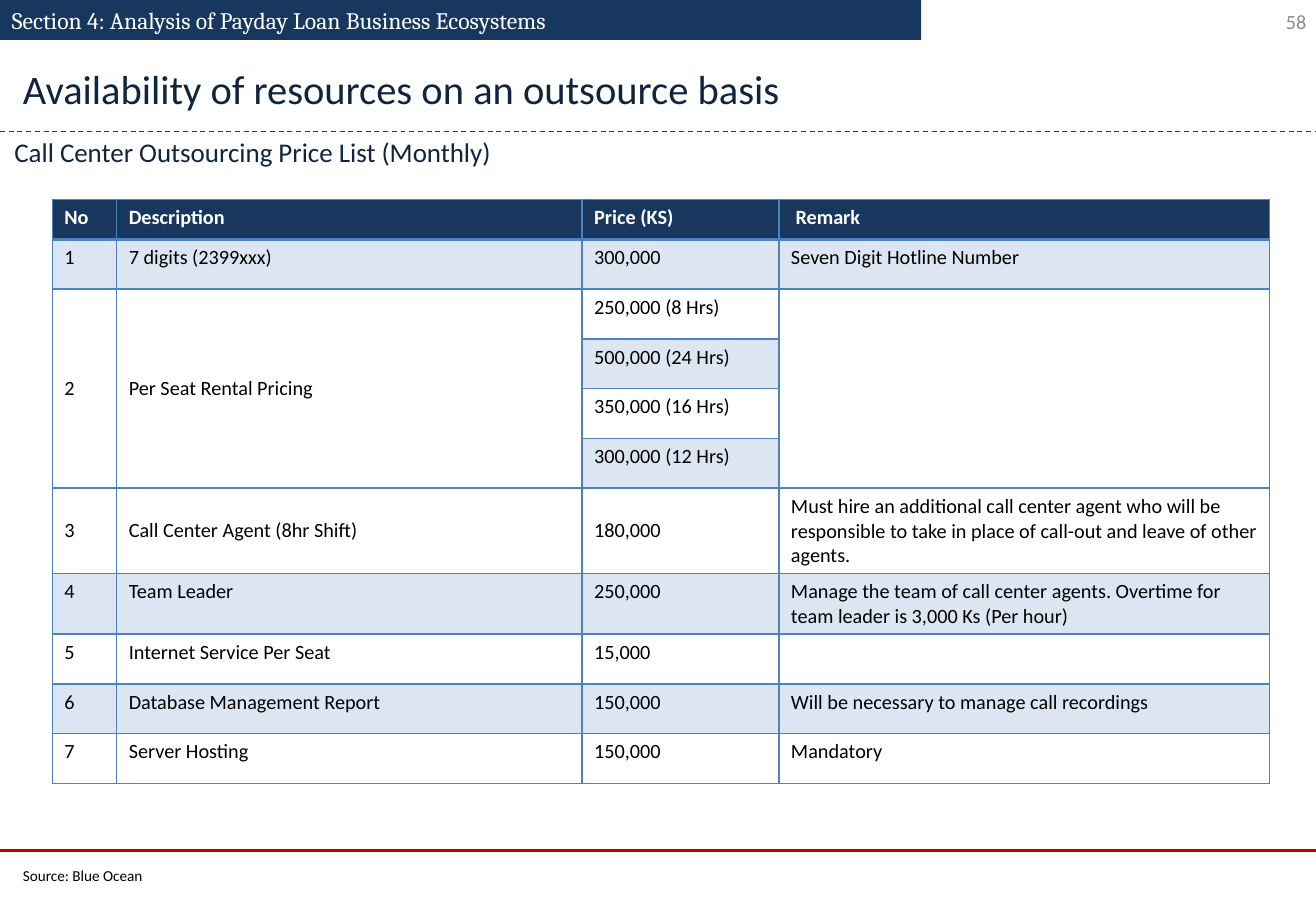
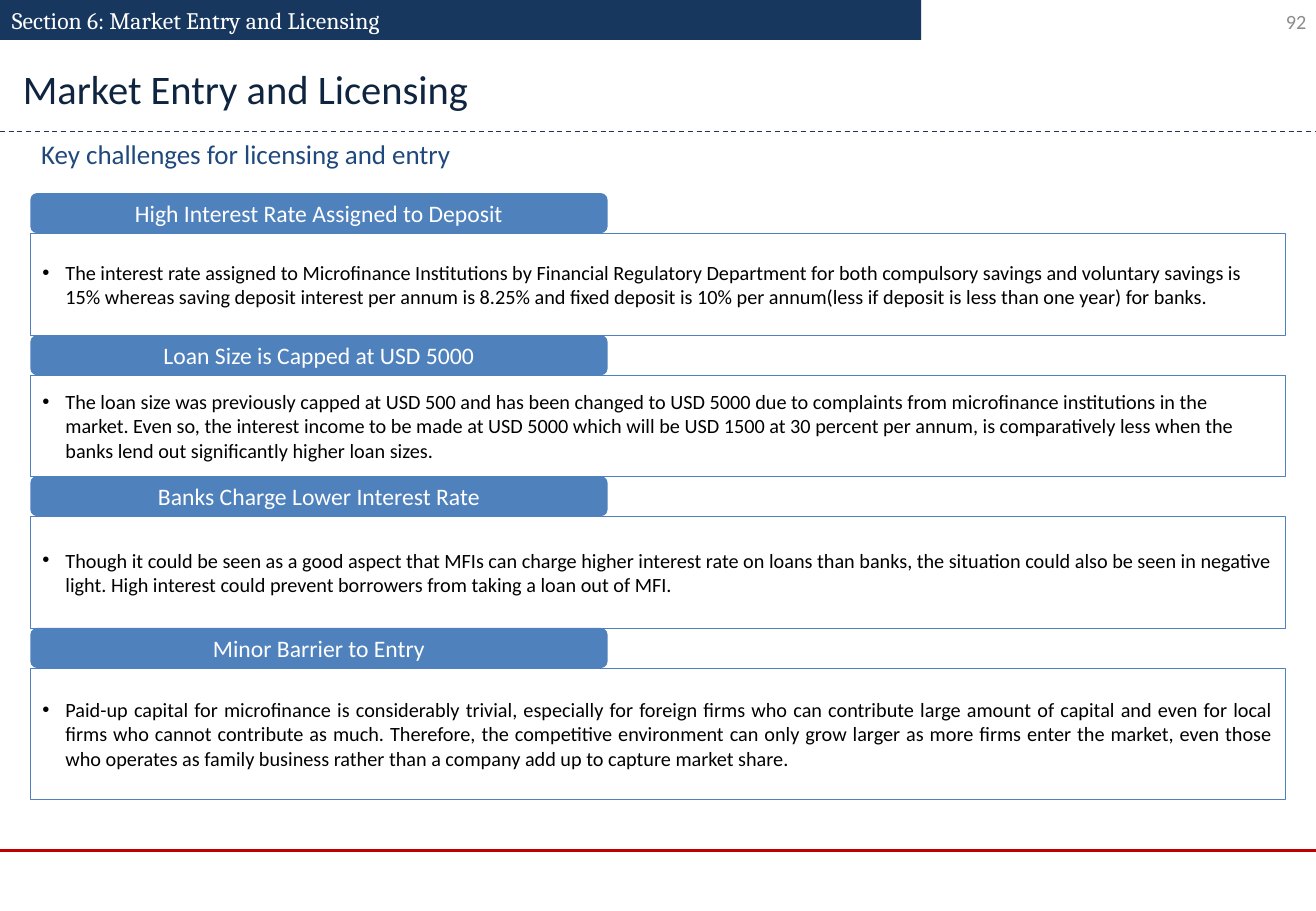
from lxml import etree
from pptx import Presentation
from pptx import util as u
from pptx.dml.color import RGBColor
from pptx.enum import dml, shapes, text
from pptx.oxml import ns

COLOURS = {
    "navy": "17375E", "ink": "0F243E", "blue": "1F497D", "accent": "4F81BD",
    "tint": "DCE6F2", "red": "C00000", "grey": "8C8C8C", "black": "000000",
    "white": "FFFFFF",
}
LEFT, CENTER, RIGHT, JUSTIFY = (
    text.PP_ALIGN.LEFT, text.PP_ALIGN.CENTER, text.PP_ALIGN.RIGHT, text.PP_ALIGN.JUSTIFY)
TOP, MIDDLE = text.MSO_ANCHOR.TOP, text.MSO_ANCHOR.MIDDLE
GROW = text.MSO_AUTO_SIZE.SHAPE_TO_FIT_TEXT
RECT, ROUND = shapes.MSO_SHAPE.RECTANGLE, shapes.MSO_SHAPE.ROUNDED_RECTANGLE

# Text styles: font attributes and a colour name
STYLES = {
    "section": ({"name": "Cambria", "size": u.Pt(14)}, "white"),
    "number": ({"name": "Calibri", "size": u.Pt(12)}, "grey"),
    "title": ({"name": "Calibri", "size": u.Pt(24)}, "ink"),
    "subtitle": ({"name": "Calibri", "size": u.Pt(16)}, "ink"),
    "challenge": ({"name": "Calibri", "size": u.Pt(16)}, "blue"),
    "source": ({"name": "Calibri", "size": u.Pt(9)}, "black"),
    "label": ({"name": "Calibri", "size": u.Pt(14)}, "white"),
    "body": ({"name": "Calibri", "size": u.Pt(12), "bold": False}, "black"),
    "header": ({"name": "Calibri", "size": u.Pt(12), "bold": True}, "white"),
}

PRICES = [
    ("No", "Description", "Price (KS)", " Remark"),
    ("1", "7 digits (2399xxx)", "300,000", "Seven Digit Hotline Number"),
    ("2", "Per Seat Rental Pricing", "250,000 (8 Hrs)", ""),
    ("", "", "500,000 (24 Hrs)", ""),
    ("", "", "350,000 (16 Hrs)", ""),
    ("", "", "300,000 (12 Hrs)", ""),
    ("3", "Call Center Agent (8hr Shift)", "180,000",
     "Must hire an additional call center agent who will be responsible to take in "
     "place of call-out and leave of other agents."),
    ("4", "Team Leader", "250,000",
     "Manage the team of call center agents. Overtime for team leader is 3,000 Ks (Per hour)"),
    ("5", "Internet Service Per Seat", "15,000", ""),
    ("6", "Database Management Report", "150,000", "Will be necessary to manage call recordings"),
    ("7", "Server Hosting", "150,000", "Mandatory"),
]
COLUMN_WIDTHS = [0.53, 3.83, 1.62, 4.04]
ROW_HEIGHTS = [0.33] + [0.41] * 5 + [0.7, 0.49] + [0.41] * 3
SEAT_MERGES = [((2, column), (5, column)) for column in (0, 1, 3)]
MIDDLE_CELLS = {(2, 0), (2, 1), (6, 0), (6, 1), (6, 2)}

# Heading, box height, alignment, wording
CHALLENGES = [
    ("High Interest Rate Assigned to Deposit", 0.84, LEFT,
     "The interest rate assigned to Microfinance Institutions by Financial Regulatory "
     "Department for both compulsory savings and voluntary savings is 15% whereas saving "
     "deposit interest per annum is 8.25% and fixed deposit is 10% per annum(less if "
     "deposit is less than one year) for banks."),
    ("Loan Size is Capped at USD 5000", 0.83, LEFT,
     "The loan size was previously capped at USD 500 and has been changed to USD 5000 due "
     "to complaints from microfinance institutions in the market. Even so, the interest "
     "income to be made at USD 5000 which will be USD 1500 at 30 percent per annum, is "
     "comparatively less when the banks lend out significantly higher loan sizes."),
    ("Banks Charge Lower Interest Rate", 0.92, LEFT,
     "Though it could be seen as a good aspect that MFIs can charge higher interest rate "
     "on loans than banks, the situation could also be seen in negative light. High "
     "interest could prevent borrowers from taking a loan out of MFI."),
    ("Minor Barrier to Entry", 1.08, JUSTIFY,
     "Paid-up capital for microfinance is considerably trivial, especially for foreign "
     "firms who can contribute large amount of capital and even for local firms who cannot "
     "contribute as much. Therefore, the competitive environment can only grow larger as "
     "more firms enter the market, even those who operates as family business rather than "
     "a company add up to capture market share."),
]


def rgb(name):
    return RGBColor.from_string(COLOURS[name])


class Deck:
    """Holds the shared style and the current page."""

    def __init__(self, width, height):
        self.deck = Presentation()
        self.deck.slide_width, self.deck.slide_height = u.Inches(width), u.Inches(height)
        self.width = width
        self.page = None

    def start_page(self, number, section, title, title_width):
        self.page = self.deck.slides.add_slide(self.deck.slide_layouts[6])
        self.textbox((8.32, -0.02, 2.53, 0.4), str(number), "number", RIGHT, MIDDLE, None)
        self.rule(7, "red", 1.5)
        self.shape(RECT, (0, 0, 7.58, 0.33), "navy")
        self.rule(1.08, "navy", 0.75, dml.MSO_LINE.DASH)
        self.textbox((0, 0, 7.58, 0.34), section, "section")
        self.textbox((0.09, 0.48, title_width, 0.5), title, "title")

    def fill_text(self, frame, wording, style, align=LEFT, bullet=False):
        para = frame.paragraphs[0]
        para.alignment = align
        if bullet:
            props = para._p.get_or_add_pPr()
            props.set("marL", str(u.Inches(0.19)))
            props.set("indent", str(-u.Inches(0.19)))
            etree.SubElement(props, ns.qn("a:buFont"), typeface="Arial")
            etree.SubElement(props, ns.qn("a:buChar"), char="•")
        span = para.add_run()
        span.text = wording
        values, colour = STYLES[style]
        for name, value in values.items():
            setattr(span.font, name, value)
        span.font.color.rgb = rgb(colour)

    def textbox(self, place, wording, style, align=LEFT, anchor=TOP, fit=GROW, wrap=True):
        box = self.page.shapes.add_textbox(*map(u.Inches, place))
        settings = {"word_wrap": wrap, "vertical_anchor": anchor, "auto_size": fit}
        for name, value in settings.items():
            setattr(box.text_frame, name, value)
        self.fill_text(box.text_frame, wording, style, align)

    def shape(self, kind, place, fill, line=None):
        box = self.page.shapes.add_shape(kind, *map(u.Inches, place))
        box.shadow.inherit = False
        box.fill.solid()
        box.fill.fore_color.rgb = rgb(fill)
        if line:
            box.line.color.rgb = rgb(line)
            box.line.width = u.Pt(0.25)
        else:
            box.line.fill.background()
        box.text_frame.word_wrap = True
        box.text_frame.vertical_anchor = MIDDLE
        return box

    def rule(self, top, colour, weight, dash=None):
        line = self.page.shapes.add_connector(
            shapes.MSO_CONNECTOR.STRAIGHT, 0, u.Inches(top), u.Inches(self.width), u.Inches(top))
        line.line.color.rgb = rgb(colour)
        line.line.width = u.Pt(weight)
        if dash:
            line.line.dash_style = dash
        etree.SubElement(line._element.spPr, ns.qn("a:effectLst"))

    def borders(self, cell, weights):
        props = cell._tc.get_or_add_tcPr()
        for side, weight in weights.items():
            edge = etree.SubElement(props, ns.qn(f"a:ln{side}"), w=str(u.Pt(weight)))
            fill = etree.SubElement(edge, ns.qn("a:solidFill"))
            etree.SubElement(fill, ns.qn("a:srgbClr"), val=COLOURS["accent"])

    def table(self, left, top, rows, widths, heights, merges, middles):
        grid = self.page.shapes.add_table(
            len(rows), len(widths), *map(u.Inches, (left, top, sum(widths), sum(heights)))).table
        grid.first_row = grid.horz_banding = False
        for column, width in zip(grid.columns, widths):
            column.width = u.Inches(width)
        for row, height in zip(grid.rows, heights):
            row.height = u.Inches(height)
        for first, last in merges:
            grid.cell(*first).merge(grid.cell(*last))
        for r, row in enumerate(rows):
            for c, wording in enumerate(row):
                cell = grid.cell(r, c)
                self.borders(cell, {"L": 1, "R": 1, "T": 2 if r == 1 else 1, "B": 1 if r else 2})
                if r % 2 == 0 and r or cell.is_spanned:
                    cell.fill.background()
                else:
                    cell.fill.solid()
                    cell.fill.fore_color.rgb = rgb("tint" if r else "navy")
                cell.vertical_anchor = MIDDLE if (r, c) in middles else TOP
                if wording:
                    self.fill_text(cell.text_frame, wording, "body" if r else "header")

    def challenge(self, left, top, heading, height, align, wording):
        """Draws a heading tab over its box and returns the bottom edge."""
        tab_height = 0.33
        tab = self.shape(ROUND, (left, top, 4.75, tab_height), "accent")
        self.fill_text(tab.text_frame, heading, "label", CENTER)
        box = self.shape(RECT, (left, top + tab_height, 10.33, height), "white", "accent")
        self.fill_text(box.text_frame, wording, "body", align, bullet=True)
        return top + tab_height + height


def main():
    deck = Deck(10.83, 7.5)

    # Price list
    deck.start_page(58, "Section 4: Analysis of Payday Loan Business Ecosystems",
                    "Availability of resources on an outsource basis", 10.33)
    deck.textbox((0.02, 1.07, 9.99, 0.37), "Call Center Outsourcing Price List (Monthly)", "subtitle")
    deck.table(0.43, 1.64, PRICES, COLUMN_WIDTHS, ROW_HEIGHTS, SEAT_MERGES, MIDDLE_CELLS)
    deck.textbox((0.09, 7.08, 7.76, 0.25), "Source: Blue Ocean", "source")

    # Licensing challenges
    deck.start_page(92, "Section 6: Market Entry and Licensing",
                    "Market Entry and Licensing", 8.33)
    deck.textbox((0.24, 1.08, 3.61, 0.37), "Key challenges for licensing and entry",
                 "challenge", wrap=False)
    top = 1.59
    for item in CHALLENGES:
        top = deck.challenge(0.25, top, *item)

    deck.deck.save("out.pptx")


if __name__ == "__main__":
    main()
